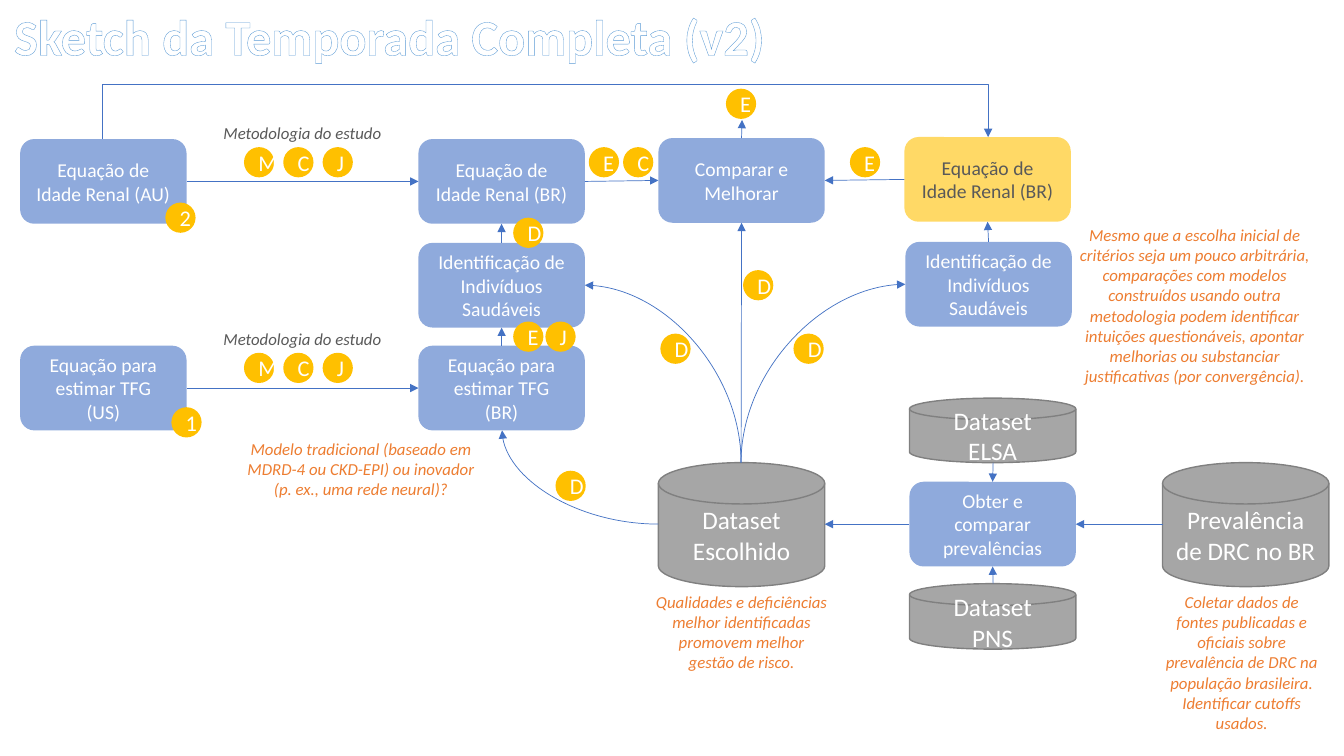
"""Build the slide that sketches the full season of kidney-age studies."""
import dataclasses

import lxml.etree
import pptx
import pptx.dml.color
import pptx.enum.dml
import pptx.enum.shapes
import pptx.enum.text
import pptx.oxml.ns
import pptx.util
from pptx.util import Inches

SHAPE = pptx.enum.shapes.MSO_SHAPE
CONNECTOR = pptx.enum.shapes.MSO_CONNECTOR
TOP, LEFT, BOTTOM, RIGHT = range(4)


@dataclasses.dataclass(frozen=True)
class Theme:
    """Hold the colours, font and type sizes."""
    font: str = "Calibri"
    white: str = "FFFFFF"
    step: str = "8FAADC"
    highlight: str = "FFD966"
    dataset: str = "A6A6A6"
    dataset_edge: str = "808080"
    badge: str = "FFC000"
    arrow: str = "4472C4"
    muted: str = "595959"
    remark: str = "ED7D31"
    title_pattern: str = "9DC3E6"
    title_edge: str = "5B9BD5"
    title_size: int = 36
    dataset_size: int = 18
    badge_size: int = 16
    step_size: int = 14
    note_size: int = 12


def rgb(value):
    """Turn a hex string into a colour."""
    return pptx.dml.color.RGBColor.from_string(value)


def add_xml(parent, tag, **attributes):
    """Append an element in its namespace."""
    return lxml.etree.SubElement(parent, pptx.oxml.ns.qn(tag), attributes)


class Sketch:
    """Draw the elements of the sketch on one slide."""

    def __init__(self, slide, theme):
        """Keep the slide and its style."""
        self.slide, self.theme = slide, theme

    def letter(self, frame, text, size, color, italic=False):
        """Set centred text and format its runs."""
        frame.text = text
        for paragraph in frame.paragraphs:
            paragraph.alignment = pptx.enum.text.PP_ALIGN.CENTER
            for run in paragraph.runs:
                run.font.name = self.theme.font
                run.font.size = pptx.util.Pt(size)
                run.font.italic = italic
                run.font.color.rgb = rgb(color)

    def title(self, text):
        """Format the title placeholder with patterned, outlined letters."""
        heading = self.slide.shapes.title
        heading.left, heading.top = Inches(0), Inches(0)
        heading.width, heading.height = Inches(7.73), Inches(0.71)
        frame = heading.text_frame
        self.letter(frame, text, self.theme.title_size, self.theme.white)
        frame.word_wrap = False
        frame.auto_size = pptx.enum.text.MSO_AUTO_SIZE.SHAPE_TO_FIT_TEXT
        frame.vertical_anchor = pptx.enum.text.MSO_ANCHOR.TOP
        font = frame.paragraphs[0].runs[0].font
        font.bold = True
        font.fill.patterned()
        font.fill.pattern = pptx.enum.dml.MSO_PATTERN.LIGHT_DOWNWARD_DIAGONAL
        font.fill.fore_color.rgb = rgb(self.theme.title_pattern)
        font.fill.back_color.rgb = rgb(self.theme.white)
        properties = frame.paragraphs[0].runs[0]._r.get_or_add_rPr()
        outline = add_xml(properties, "a:ln", w=str(pptx.util.Pt(1)))
        add_xml(add_xml(outline, "a:solidFill"), "a:srgbClr", val=self.theme.title_edge)
        properties.insert(0, outline)

    def figure(self, kind, x, y, width, height, fill, text, size, color):
        """Add a filled shape with centred text and no edge."""
        shape = self.slide.shapes.add_shape(
            kind, Inches(x), Inches(y), Inches(width), Inches(height))
        shape.shadow.inherit = False
        shape.fill.solid()
        shape.fill.fore_color.rgb = rgb(fill)
        shape.line.fill.background()
        self.letter(shape.text_frame, text, size, color)
        return shape

    def step(self, x, y, text, fill=None, color=None):
        """Add a rounded process box."""
        return self.figure(SHAPE.ROUNDED_RECTANGLE, x, y, 1.65, 0.84, fill or self.theme.step,
                           text, self.theme.step_size, color or self.theme.white)

    def dataset(self, x, y, height, text):
        """Add a data cylinder."""
        cylinder = self.figure(SHAPE.FLOWCHART_MAGNETIC_DISK, x, y, 1.65, height,
                               self.theme.dataset, text, self.theme.dataset_size, self.theme.white)
        cylinder.line.color.rgb = rgb(self.theme.dataset_edge)
        cylinder.line.width = pptx.util.Pt(1)

    def badge(self, x, y, text):
        """Add a small round marker."""
        self.figure(SHAPE.OVAL, x, y, 0.3, 0.3, self.theme.badge, text,
                    self.theme.badge_size, self.theme.white)

    def note(self, x, y, width, height, text, color):
        """Add an italic remark."""
        remark = self.slide.shapes.add_textbox(Inches(x), Inches(y), Inches(width), Inches(height))
        remark.text_frame.word_wrap = True
        remark.text_frame.auto_size = pptx.enum.text.MSO_AUTO_SIZE.SHAPE_TO_FIT_TEXT
        self.letter(remark.text_frame, text, self.theme.note_size, color, italic=True)

    def line(self, kind, begin, end):
        """Add a thin connector with an arrowhead at its end."""
        link = self.slide.shapes.add_connector(kind, *map(Inches, begin + end))
        link.line.color.rgb = rgb(self.theme.arrow)
        link.line.width = pptx.util.Pt(0.5)
        add_xml(link.line._get_or_add_ln(), "a:tailEnd", type="triangle")
        add_xml(link._element.spPr, "a:effectLst")
        return link

    def arrow(self, begin, end):
        """Join two ends, each a point or a box with one of its sides."""
        joins = [not isinstance(place[0], float) for place in (begin, end)]
        points = [(0, 0) if joined else place for joined, place in zip(joins, (begin, end))]
        link = self.line(CONNECTOR.STRAIGHT, *points)
        if joins[0]:
            link.begin_connect(*begin)
        if joins[1]:
            link.end_connect(*end)

    def quarter(self, begin, end):
        """Add a quarter curve that leaves sideways."""
        link = self.line(CONNECTOR.CURVE, begin, end)
        link._element.spPr.prstGeom.set("prst", "curvedConnector2")
        return link

    def rising(self, draw, begin, end):
        """Add a connector that leaves upwards, as a turned sideways one."""
        across, up = end[0] - begin[0], begin[1] - end[1]
        x, y = (begin[0] + end[0]) / 2, (begin[1] + end[1]) / 2
        link = draw((x - up / 2, y - across / 2), (x + up / 2, y + across / 2))
        link._element.spPr.find(pptx.oxml.ns.qn("a:xfrm")).set("rot", str(270 * 60000))
        return link

    def bridge(self, begin, end, crest):
        """Add a bent arrow that passes over the boxes at the crest height."""
        link = self.rising(lambda *ends: self.line(CONNECTOR.ELBOW, *ends), begin, end)
        reach = (begin[1] - crest) / (begin[1] - end[1])
        guides = link._element.spPr.prstGeom.get_or_add_avLst()
        add_xml(guides, "a:gd", name="adj1", fmla=f"val {round(reach * 100000)}")


def main():
    """Compose and save the slide."""
    deck = pptx.Presentation()
    deck.slide_width, deck.slide_height = Inches(13.33), Inches(7.5)
    theme = Theme()
    sketch = Sketch(deck.slides.add_slide(deck.slide_layouts[5]), theme)
    sketch.title("Sketch da Temporada Completa (v2)")

    for x, y, height, text in ((6.53, 4.59, 1.23, "Dataset\nEscolhido"),
                               (9.02, 3.95, 0.64, "Dataset\nELSA"),
                               (9.02, 5.79, 0.65, "Dataset\nPNS"),
                               (11.53, 4.59, 1.23, "Prevalência de DRC no BR")):
        sketch.dataset(x, y, height, text)

    age_au = sketch.step(0.2, 1.38, "Equação de Idade Renal (AU)")
    age_br = sketch.step(4.15, 1.38, "Equação de Idade Renal (BR)")
    compare = sketch.step(6.53, 1.37, "Comparar e Melhorar")
    rival_age = sketch.step(8.97, 1.36, "Equação de Idade Renal (BR)", theme.highlight, theme.muted)
    healthy = sketch.step(4.15, 2.41, "Identificação de Indivíduos Saudáveis")
    rival_healthy = sketch.step(8.98, 2.4, "Identificação de Indivíduos Saudáveis")
    gfr_us = sketch.step(0.2, 3.43, "Equação para estimar TFG\n(US)")
    gfr_br = sketch.step(4.15, 3.43, "Equação para estimar TFG\n(BR)")
    prevalence = sketch.step(9.02, 4.78, "Obter e comparar prevalências")

    for begin, end in (((gfr_us, RIGHT), (gfr_br, LEFT)), ((gfr_br, TOP), (healthy, BOTTOM)),
                       ((healthy, TOP), (age_br, BOTTOM)), ((age_au, RIGHT), (age_br, LEFT)),
                       ((age_br, RIGHT), (compare, LEFT)), ((rival_age, LEFT), (compare, RIGHT)),
                       ((rival_healthy, TOP), (rival_age, BOTTOM)),
                       ((compare, TOP), (7.36, 1.19)), ((7.35, 4.59), (compare, BOTTOM)),
                       ((9.85, 4.59), (prevalence, TOP)), ((9.85, 5.79), (prevalence, BOTTOM)),
                       ((11.53, 5.2), (prevalence, RIGHT)), ((prevalence, LEFT), (8.18, 5.2))):
        sketch.arrow(begin, end)
    sketch.quarter((6.53, 5.2), (4.98, 4.27))
    for end in ((5.8, 2.83), (8.98, 2.82)):
        sketch.rising(sketch.quarter, (7.35, 4.59), end)
    sketch.bridge((1.02, 1.38), (9.8, 1.36), 0.84)

    for x, y, width, height, text in (
            (11.44, 5.82, 1.75, 1.51, "Coletar dados de fontes publicadas e oficiais sobre prevalência "
             "de DRC na população brasileira. Identificar cutoffs usados."),
            (2.32, 4.3, 2.52, 0.71, "Modelo tradicional (baseado em MDRD-4 ou CKD-EPI) ou inovador "
             "(p. ex., uma rede neural)?"),
            (6.4, 5.82, 1.91, 0.91, "Qualidades e deficiências melhor identificadas promovem melhor "
             "gestão de risco."),
            (10.53, 2.18, 2.64, 1.72, "Mesmo que a escolha inicial de critérios seja um pouco "
             "arbitrária, comparações com modelos construídos usando outra metodologia podem "
             "identificar intuições questionáveis, apontar melhorias ou substanciar justificativas "
             "(por convergência).")):
        sketch.note(x, y, width, height, text, theme.remark)

    for y in (1.17, 3.21):
        sketch.note(1.87, y, 2.26, 0.3, "Metodologia do estudo", theme.muted)
        for column, initial in enumerate("MCJ"):
            sketch.badge(2.42 + 0.39 * column, y + 0.29, initial)
    for x, y, text in ((1.7, 4.04, "1"), (1.64, 2.01, "2"), (5.51, 4.67, "D"), (6.55, 3.31, "D"),
                       (5.09, 3.19, "E"), (5.41, 3.19, "J"), (5.09, 2.16, "D"), (7.2, 0.88, "E"),
                       (7.87, 3.31, "D"), (5.84, 1.46, "E"), (6.18, 1.46, "C"), (8.43, 1.46, "E"),
                       (7.37, 2.68, "D")):
        sketch.badge(x, y, text)
    deck.save("out.pptx")


if __name__ == "__main__":
    main()
